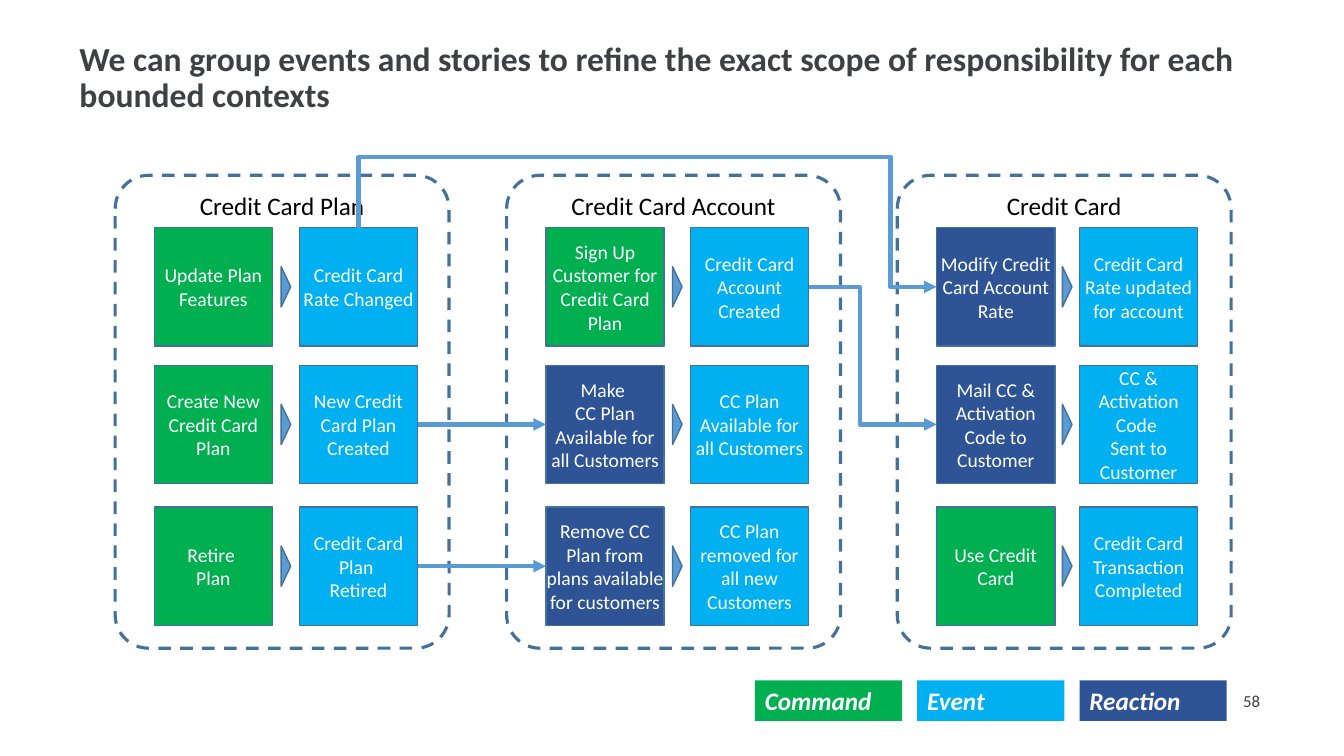
from lxml import etree
from pptx import Presentation
from pptx.dml.color import RGBColor
from pptx.enum.dml import MSO_LINE
from pptx.enum.shapes import MSO_CONNECTOR, MSO_SHAPE
from pptx.enum.text import MSO_ANCHOR, PP_ALIGN
from pptx.oxml.ns import qn
from pptx.util import Pt

RECT, ROUNDED = MSO_SHAPE.RECTANGLE, MSO_SHAPE.ROUNDED_RECTANGLE
TRIANGLE = MSO_SHAPE.ISOSCELES_TRIANGLE
STRAIGHT, ELBOW = MSO_CONNECTOR.STRAIGHT, MSO_CONNECTOR.ELBOW
LEFT, CENTER, RIGHT = PP_ALIGN.LEFT, PP_ALIGN.CENTER, PP_ALIGN.RIGHT
TOP, MIDDLE = MSO_ANCHOR.TOP, MSO_ANCHOR.MIDDLE
SIDE_TOP, SIDE_LEFT, SIDE_RIGHT = 0, 1, 3


class Theme:
    font = "Calibri"
    title_size, heading_size, box_size, number_size = 24, 18, 14, 12
    ink = RGBColor(0x3E, 0x40, 0x43)
    black = RGBColor(0, 0, 0)
    white = RGBColor(0xFF, 0xFF, 0xFF)
    outline = RGBColor(0x42, 0x71, 0x9B)
    arrow = RGBColor(0x5B, 0x9B, 0xD5)
    kinds = {
        "Command": RGBColor(0x00, 0xB0, 0x50),
        "Event": RGBColor(0x00, 0xB0, 0xF0),
        "Reaction": RGBColor(0x2F, 0x54, 0x96),
    }


prs = Presentation()
prs.slide_width, prs.slide_height = Pt(960), Pt(540)
s = prs.slides.add_slide(prs.slide_layouts[6])


def add_block(kind, x, y, w, h, text="", size=Theme.box_size, color=Theme.white,
              fill=None, line=None, align=CENTER, anchor=MIDDLE):
    """Add a preset shape, or a text box when kind is None, and style its text."""
    rect = Pt(x), Pt(y), Pt(w), Pt(h)
    if kind is None:
        sp = s.shapes.add_textbox(*rect)
    else:
        sp = s.shapes.add_shape(kind, *rect)
        sp.shadow.inherit = False
        if fill is None:
            sp.fill.background()
        else:
            sp.fill.solid()
            sp.fill.fore_color.rgb = fill
        if line is None:
            sp.line.fill.background()
        else:
            sp.line.color.rgb = Theme.outline
            sp.line.width = Pt(line)
    tf = sp.text_frame
    tf.word_wrap = True
    tf.vertical_anchor = anchor
    p = tf.paragraphs[0]
    p.text = text
    p.alignment = align
    p.font.name, p.font.size, p.font.color.rgb = Theme.font, Pt(size), color
    return sp


def add_link(kind, source, source_side, target, bends=()):
    """Join two boxes with an arrow; bends are the preset's adjustment fractions."""
    c = s.shapes.add_connector(kind, 0, 0, 0, 0)
    c.begin_connect(source, source_side)
    c.end_connect(target, SIDE_LEFT)
    c.line.color.rgb = Theme.arrow
    c.line.width = Pt(3)
    etree.SubElement(c.line._get_or_add_ln(), qn("a:tailEnd"), type="triangle")
    sp_pr = c._element.spPr
    etree.SubElement(sp_pr, qn("a:effectLst"))
    guides = sp_pr.find(qn("a:prstGeom")).get_or_add_avLst()
    for i, bend in enumerate(bends, 1):
        etree.SubElement(guides, qn("a:gd"), name=f"adj{i}", fmla=f"val {round(bend * 100000)}")
    return c


# Title and page number
title = add_block(None, 49.7, 26.6, 857.5, 59.8,
                  "We can group events and stories to refine the exact scope of "
                  "responsibility for each bounded contexts",
                  Theme.title_size, Theme.ink, align=LEFT, anchor=TOP)
title.text_frame.paragraphs[0].font.bold = True
title.text_frame.paragraphs[0].line_spacing = 0.9
add_block(None, 691.2, 486, 216, 28.8, "58", Theme.number_size, Theme.ink, align=RIGHT)

# Bounded contexts: name, frame left, trigger left, event left, rows of (kind, trigger, event)
BOX = 84.4
ROW_TOPS = (162.7, 261, 362.2)
contexts = [
    ("Credit Card Plan", 82.3, 110.2, 213.9, [
        ("Command", "Update Plan Features", "Credit Card Rate Changed"),
        ("Command", "Create New Credit Card Plan", "New Credit Card Plan Created"),
        ("Command", "Retire \nPlan", "Credit Card Plan \nRetired")]),
    ("Credit Card Account", 361.9, 390, 493.2, [
        ("Command", "Sign Up Customer for Credit Card Plan", "Credit Card Account Created"),
        ("Reaction", "Make \nCC Plan Available for all Customers",
         "CC Plan Available for all Customers"),
        ("Reaction", "Remove CC Plan from plans available for customers",
         "CC Plan removed for all new Customers")]),
    ("Credit Card", 640.9, 669.1, 771.1, [
        ("Reaction", "Modify Credit Card Account Rate",
         "Credit Card Rate updated for account"),
        ("Reaction", "Mail CC & Activation Code to Customer",
         "CC & Activation Code \nSent to Customer"),
        ("Command", "Use Credit Card", "Credit Card Transaction Completed")]),
]

MARK_W, MARK_H = 28.8, 6.8
triggers, events = {}, {}
for name, frame_x, trigger_x, event_x, rows in contexts:
    frame = add_block(ROUNDED, frame_x, 125.2, 238.5, 337.8, name,
                      Theme.heading_size, Theme.black, line=2.25, anchor=TOP)
    frame.adjustments[0] = 0.1
    frame.line.dash_style = MSO_LINE.DASH
    for row, (y, (kind, trigger, event)) in enumerate(zip(ROW_TOPS, rows)):
        for made, x, box_kind, text in ((triggers, trigger_x, kind, trigger),
                                        (events, event_x, "Event", event)):
            box = add_block(RECT, x, y, BOX, BOX, text, fill=Theme.kinds[box_kind], line=1)
            tf = box.text_frame
            tf.margin_left = tf.margin_right = tf.margin_top = tf.margin_bottom = 0
            made[name, row] = box
        mark_x = (trigger_x + BOX + event_x) / 2
        mark = add_block(TRIANGLE, mark_x - MARK_W / 2, y + (BOX - MARK_H) / 2,
                         MARK_W, MARK_H, fill=Theme.arrow, line=1)
        mark.rotation = 90

# Events that trigger reactions in another context
for row in (1, 2):
    add_link(STRAIGHT, events["Credit Card Plan", row], SIDE_RIGHT,
             triggers["Credit Card Account", row])
add_link(ELBOW, events["Credit Card Account", 0], SIDE_RIGHT,
         triggers["Credit Card", 1], [0.4])

# The rate change leaves upwards, so its four-part elbow is turned on its side
rate = add_link(ELBOW, events["Credit Card Plan", 0], SIDE_TOP,
                triggers["Credit Card", 0], [-1.2, 0.92])
across, down = rate.width, rate.height
rate.left += (across - down) // 2
rate.top += (down - across) // 2
rate.width, rate.height = down, across
rate_pr = rate._element.spPr
rate_pr.find(qn("a:prstGeom")).set("prst", "bentConnector4")
rate_pr.find(qn("a:xfrm")).set("rot", str(270 * 60000))
rate_pr.find(qn("a:xfrm")).set("flipH", "1")

# Legend
for i, (kind, color) in enumerate(Theme.kinds.items()):
    key = add_block(RECT, 539.3 + 115.9 * i, 486, 105.1, 29, kind, Theme.heading_size,
                    fill=color, align=LEFT, anchor=TOP)
    font = key.text_frame.paragraphs[0].font
    font.bold = font.italic = True

prs.save("out.pptx")
